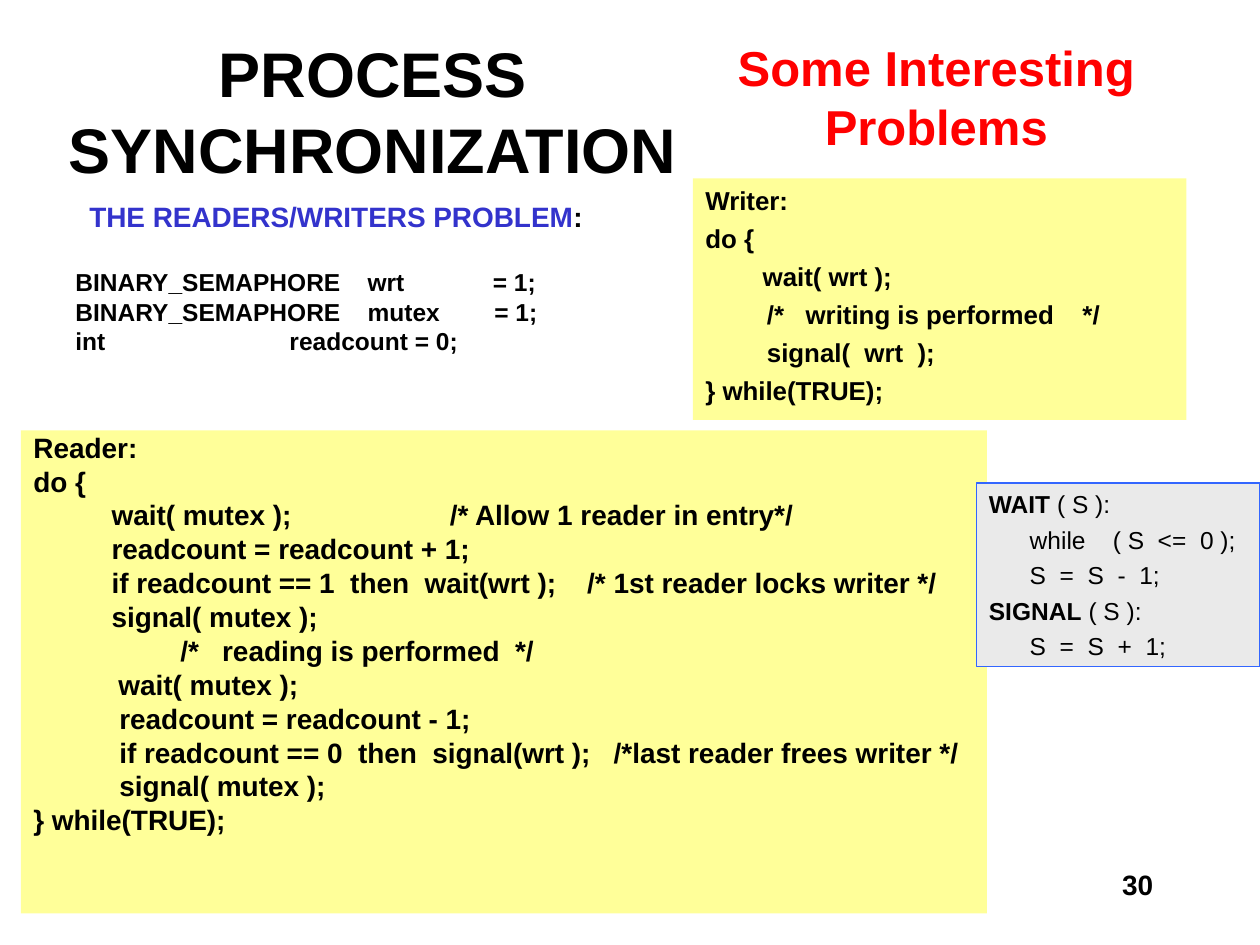
from dataclasses import dataclass
from typing import Optional

from lxml.etree import SubElement
from pptx import Presentation
from pptx.dml.color import RGBColor as Rgb
from pptx.enum.shapes import MSO_SHAPE as Preset
from pptx.enum.text import MSO_ANCHOR as Anchor, PP_ALIGN as Align
from pptx.oxml.ns import qn
from pptx.util import Pt


@dataclass(frozen=True)
class Theme:
    font: str = "Arial"
    ink: str = "000000"
    heading: str = "3333CC"
    topic: str = "FF0000"
    code_fill: str = "FFFF99"
    aside_fill: str = "EAEAEA"
    aside_line: str = "3366FF"
    title_size: float = 36
    topic_size: float = 28
    code_size: float = 16
    writer_size: float = 14.8
    small_size: float = 14


THEME = Theme()


@dataclass(frozen=True)
class Span:
    text: str
    color: str = THEME.ink
    bold: bool = True


@dataclass(frozen=True)
class Line:
    spans: tuple[Span, ...]
    size: float
    align: Align = Align.JUSTIFY
    before: float = 0
    spacing: Optional[float] = None
    hanging: float = 0


@dataclass(frozen=True)
class Panel:
    left: float
    top: float
    width: float
    height: float
    lines: tuple[Line, ...]
    fill: Optional[str] = None
    outline: Optional[str] = None
    wrap: bool = True


HANGING = 27
TAB_STEP = 72
TAB_COUNT = 8


def code_lines(source: list[str], size: float, before: float,
               spacing: Optional[float] = None) -> tuple[Line, ...]:
    return tuple(
        Line((Span(text),), size, before=before, spacing=spacing, hanging=HANGING)
        for text in source
    )


def add_tabs(paragraph) -> None:
    tab_list = SubElement(paragraph._p.get_or_add_pPr(), qn("a:tabLst"))
    for index in range(TAB_COUNT):
        SubElement(tab_list, qn("a:tab"), pos=str(Pt(index * TAB_STEP)), algn="l")


def write_lines(frame, lines: tuple[Line, ...]) -> None:
    for index, line in enumerate(lines):
        paragraph = frame.add_paragraph() if index else frame.paragraphs[0]
        paragraph.alignment = line.align
        paragraph.space_before = Pt(line.before if index else 0)
        if line.spacing:
            paragraph.line_spacing = line.spacing
        if line.hanging:
            properties = paragraph._p.get_or_add_pPr()
            properties.set("marL", str(Pt(line.hanging)))
            properties.set("indent", str(-Pt(line.hanging)))
        add_tabs(paragraph)
        for span in line.spans:
            run = paragraph.add_run()
            run.text = span.text
            run.font.name = THEME.font
            run.font.size = Pt(line.size)
            run.font.bold = span.bold
            run.font.color.rgb = Rgb.from_string(span.color)


def draw_panel(slide, panel: Panel) -> None:
    bounds = [Pt(v) for v in (panel.left, panel.top, panel.width, panel.height)]
    if panel.fill:
        box = slide.shapes.add_shape(Preset.RECTANGLE, *bounds)
        box.shadow.inherit = False
        box.fill.solid()
        box.fill.fore_color.rgb = Rgb.from_string(panel.fill)
        if panel.outline:
            box.line.color.rgb = Rgb.from_string(panel.outline)
            box.line.width = Pt(0.75)
        else:
            box.line.fill.background()
    else:
        box = slide.shapes.add_textbox(*bounds)
    box.text_frame.word_wrap = panel.wrap
    box.text_frame.vertical_anchor = Anchor.TOP
    write_lines(box.text_frame, panel.lines)


def draw_title(slide, text: str) -> None:
    title = slide.shapes.title
    title.left, title.top = Pt(24), Pt(18)
    title.width, title.height = Pt(378), Pt(90)
    title.text_frame.word_wrap = True
    title.text_frame.vertical_anchor = Anchor.MIDDLE
    write_lines(title.text_frame,
                (Line((Span(text),), THEME.title_size, Align.CENTER),))


READER = [
    "Reader:",
    "do {",
    "\t    wait( mutex );\t\t       /* Allow 1 reader in entry*/",
    "\t    readcount = readcount + 1;",
    "\t    if readcount == 1  then  wait(wrt );    /* 1st reader locks writer */",
    "\t    signal( mutex );",
    "                   /*   reading is performed  */",
    "           wait( mutex );",
    "\t     readcount = readcount - 1;",
    "\t     if readcount == 0  then  signal(wrt );   /*last reader frees writer */",
    "\t     signal( mutex );",
    "} while(TRUE);",
]

WRITER = [
    "Writer:",
    "do {",
    "        wait( wrt );",
    "\t  /*   writing is performed    */",
    "\t  signal(  wrt  );",
    "} while(TRUE);",
]

DECLARATIONS = (
    Line((Span("THE READERS/WRITERS PROBLEM", THEME.heading), Span(":")),
         THEME.code_size, Align.CENTER, spacing=0.8, hanging=HANGING),
    *code_lines(["BINARY_SEMAPHORE    wrt             = 1;"],
                THEME.small_size, before=23, spacing=0.8),
    *code_lines(["BINARY_SEMAPHORE    mutex        = 1;",
                 "int\t\t\t      readcount = 0;"],
                THEME.small_size, before=3.5, spacing=0.8),
)

OPERATIONS = tuple(
    Line(spans, THEME.small_size, Align.LEFT, before=3.5)
    for spans in (
        (Span("WAIT"), Span(" ( S ):", bold=False)),
        (Span("      while    ( S  <=  0 );", bold=False),),
        (Span("      S  =  S  -  1;", bold=False),),
        (Span("SIGNAL"), Span(" ( S ):", bold=False)),
        (Span("      S  =  S  +  1;", bold=False),),
    )
)

TOPIC = tuple(
    Line((Span(text, THEME.topic),), THEME.topic_size, Align.CENTER)
    for text in ("Some Interesting", "Problems")
)

PAGE_NUMBER = (Line((Span("30"),), THEME.code_size, Align.RIGHT),)

PANELS = [
    Panel(516, 492, 150, 36, PAGE_NUMBER),
    Panel(36, 114, 312, 102, DECLARATIONS),
    Panel(12, 246, 552, 276, code_lines(READER, THEME.code_size, 4, 0.8),
          THEME.code_fill),
    Panel(396, 102, 282, 138, code_lines(WRITER, THEME.writer_size, 4),
          THEME.code_fill),
    Panel(414.5, 18, 241, 75, TOPIC, wrap=False),
    Panel(558, 276, 162, 105, OPERATIONS, THEME.aside_fill, THEME.aside_line),
]


def main() -> None:
    deck = Presentation()
    deck.slide_width, deck.slide_height = Pt(720), Pt(540)
    slide = deck.slides.add_slide(deck.slide_layouts[5])
    draw_title(slide, "PROCESS SYNCHRONIZATION")
    for panel in PANELS:
        draw_panel(slide, panel)
    deck.save("out.pptx")


if __name__ == "__main__":
    main()
